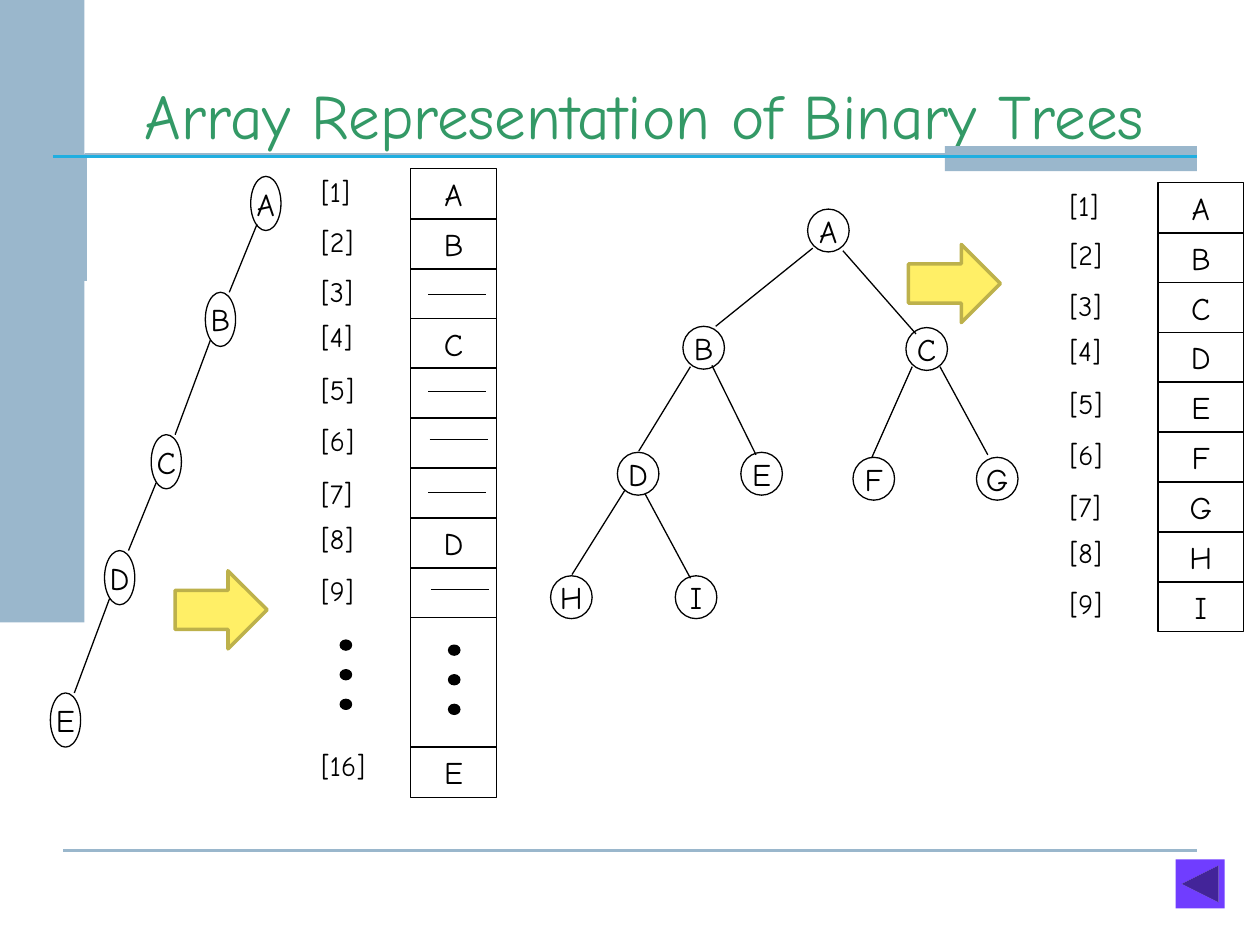
from typing import NamedTuple

from lxml import etree
from pptx import Presentation
from pptx.dml.color import RGBColor
from pptx.enum.shapes import MSO_CONNECTOR, MSO_SHAPE
from pptx.enum.text import MSO_ANCHOR, MSO_AUTO_SIZE, PP_ALIGN
from pptx.oxml.ns import qn
from pptx.util import Inches, Pt

RECTANGLE, OVAL = MSO_SHAPE.RECTANGLE, MSO_SHAPE.OVAL
ARROW, BACK_BUTTON = MSO_SHAPE.RIGHT_ARROW, MSO_SHAPE.ACTION_BUTTON_BACK_OR_PREVIOUS
STRAIGHT = MSO_CONNECTOR.STRAIGHT
CENTER = PP_ALIGN.CENTER
MIDDLE, BOTTOM = MSO_ANCHOR.MIDDLE, MSO_ANCHOR.BOTTOM
FIT_TEXT = MSO_AUTO_SIZE.SHAPE_TO_FIT_TEXT

FONT = "Comic Neue"
COLORS = {
    "ink": "000000",
    "title": "339966",
    "band": "9AB7CC",
    "rule": "20AEE0",
    "arrow": "FFEF66",
    "arrow edge": "BDB14B",
    "button": "703DFF",
}
CELL_WIDTH = 0.68
CELL_HEIGHT = 0.4
ROW_PITCH = 3.56 / 9
LABEL_OFFSETS = (0, 0.39, 0.79, 1.15, 1.57, 1.97, 2.39, 2.75, 3.16)


class Node(NamedTuple):
    letter: str
    left: float
    top: float


class Edge(NamedTuple):
    x1: float
    y1: float
    x2: float
    y2: float


class Tree(NamedTuple):
    node_width: float
    node_height: float
    nodes: list[Node]
    edges: list[Edge]


class Column(NamedTuple):
    label_left: float
    cell_left: float
    top: float
    values: str  # one character per cell, "-" for an unused cell


SKEWED_TREE = Tree(
    0.24, 0.43,
    [Node("A", 1.99, 1.4), Node("B", 1.63, 2.32), Node("C", 1.2, 3.45),
     Node("D", 0.83, 4.37), Node("E", 0.4, 5.5)],
    [Edge(2.04, 1.78, 1.82, 2.32), Edge(1.67, 2.7, 1.39, 3.45),
     Edge(1.24, 3.83, 1.02, 4.37), Edge(0.87, 4.75, 0.59, 5.5)],
)
COMPLETE_TREE = Tree(
    0.33, 0.34,
    [Node("A", 6.41, 1.66), Node("B", 5.42, 2.59), Node("C", 7.19, 2.6),
     Node("D", 4.9, 3.59), Node("E", 5.88, 3.59), Node("F", 6.77, 3.63),
     Node("G", 7.75, 3.63), Node("H", 4.37, 4.57), Node("I", 5.36, 4.57)],
    [Edge(6.45, 1.97, 5.68, 2.59), Edge(6.69, 1.99, 7.27, 2.65),
     Edge(5.48, 2.91, 5.07, 3.58), Edge(5.65, 2.9, 6, 3.61),
     Edge(7.24, 2.91, 6.92, 3.63), Edge(7.46, 2.91, 7.84, 3.61),
     Edge(4.96, 3.89, 4.54, 4.56), Edge(5.12, 3.92, 5.48, 4.59)],
)
SKEWED_ARRAY = Column(2.45, 3.26, 1.34, "AB-C---D-")
COMPLETE_ARRAY = Column(8.39, 9.19, 1.45, "ABCDEFGHI")
UNUSED_MARKS = [Edge(3.4, 2.34, 3.86, 2.34), Edge(3.4, 3.11, 3.86, 3.11),
                Edge(3.41, 3.49, 3.87, 3.49), Edge(3.4, 3.91, 3.86, 3.91),
                Edge(3.42, 4.68, 3.88, 4.68)]


def color(name: str) -> RGBColor:
    return RGBColor.from_string(COLORS[name])


def set_font(para, size: float, name: str = "ink") -> None:
    para.font.name = FONT
    para.font.size = Pt(size)
    para.font.color.rgb = color(name)


def paint(shape, fill: str | None, line: str | None, width: float) -> None:
    shape.shadow.inherit = False
    if fill:
        shape.fill.solid()
        shape.fill.fore_color.rgb = color(fill)
    else:
        shape.fill.background()
    if line:
        shape.line.color.rgb = color(line)
        shape.line.width = Pt(width)
    else:
        shape.line.fill.background()


def add_shape(slide, kind, left: float, top: float, width: float, height: float,
              fill: str | None = None, line: str | None = None,
              line_width: float = 0.75, text: str = "") -> None:
    shape = slide.shapes.add_shape(kind, Inches(left), Inches(top),
                                   Inches(width), Inches(height))
    paint(shape, fill, line, line_width)
    if text:
        frame = shape.text_frame
        frame.word_wrap = False
        frame.vertical_anchor = MIDDLE
        para = frame.paragraphs[0]
        para.text = text
        para.alignment = CENTER
        set_font(para, 18)


def add_line(slide, edge: Edge, line: str = "ink", width: float = 0.75) -> None:
    connector = slide.shapes.add_connector(STRAIGHT, *(Inches(value) for value in edge))
    connector.line.color.rgb = color(line)
    connector.line.width = Pt(width)
    etree.SubElement(connector.element.spPr, qn("a:effectLst"))


def add_label(slide, text: str, left: float, top: float, width: float = 0.5) -> None:
    box = slide.shapes.add_textbox(Inches(left), Inches(top), Inches(width), Inches(0.37))
    box.text_frame.word_wrap = True
    box.text_frame.auto_size = FIT_TEXT
    para = box.text_frame.paragraphs[0]
    para.text = text
    set_font(para, 16)


def add_cell(slide, left: float, top: float, text: str = "",
             height: float = CELL_HEIGHT) -> None:
    add_shape(slide, RECTANGLE, left, top, CELL_WIDTH, height, line="ink", text=text)


def add_column(slide, column: Column) -> None:
    for row, (value, offset) in enumerate(zip(column.values, LABEL_OFFSETS)):
        add_cell(slide, column.cell_left, column.top + row * ROW_PITCH, value.strip("-"))
        add_label(slide, f"[{row + 1}]", column.label_left, column.top + offset)


def add_dots(slide, left: float, top: float) -> None:
    for index in range(3):
        add_shape(slide, OVAL, left, top + index * 0.235, 0.09, 0.08, "ink", "ink")


def add_tree(slide, tree: Tree) -> None:
    for node in tree.nodes:
        add_shape(slide, OVAL, node.left, node.top, tree.node_width, tree.node_height,
                  line="ink", text=node.letter)
    for edge in tree.edges:
        add_line(slide, edge)


def add_backdrop(slide) -> None:
    builder = slide.shapes.build_freeform(Inches(0.68), Inches(2.23))
    builder.add_line_segments([(Inches(0.68), Inches(1.23)),
                               (Inches(9.35), Inches(1.23))], close=False)
    paint(builder.convert_to_shape(), None, "band", 2)
    add_line(slide, Edge(0.5, 6.75, 9.5, 6.75), "band", 1.5)
    add_shape(slide, RECTANGLE, 0, -0.39, 0.67, 5.33, "band")
    add_shape(slide, RECTANGLE, 7.5, 1.16, 2, 0.2, "band")
    add_line(slide, Edge(0.42, 1.24, 9.5, 1.24), "rule", 1.5)


def add_title(slide, text: str) -> None:
    title = slide.shapes.title
    title.left, title.top = Inches(0.75), Inches(0.49)
    title.width, title.height = Inches(8.73), Inches(0.77)
    title.text_frame.text = text
    title.text_frame.vertical_anchor = BOTTOM
    para = title.text_frame.paragraphs[0]
    para.alignment = CENTER
    set_font(para, 36, "title")


def main() -> None:
    deck = Presentation()
    deck.slide_width, deck.slide_height = Inches(10), Inches(7.5)
    slide = deck.slides.add_slide(deck.slide_layouts[5])
    add_backdrop(slide)
    add_title(slide, "Array Representation of Binary Trees")

    # Array of the skewed tree, with its gap between rows 9 and 16
    add_column(slide, SKEWED_ARRAY)
    add_cell(slide, SKEWED_ARRAY.cell_left, 4.9, height=1.03)
    add_cell(slide, SKEWED_ARRAY.cell_left, 5.93, "E")
    add_label(slide, "[16]", SKEWED_ARRAY.label_left, 5.89, 0.62)
    for mark in UNUSED_MARKS:
        add_line(slide, mark)
    add_dots(slide, 3.56, 5.12)
    add_dots(slide, 2.7, 5.08)

    # Array of the complete tree
    add_column(slide, COMPLETE_ARRAY)

    # Button, trees and arrows
    add_shape(slide, BACK_BUTTON, 9.33, 6.82, 0.39, 0.39, "button")
    for tree in (SKEWED_TREE, COMPLETE_TREE):
        add_tree(slide, tree)
    for left, top in ((1.39, 4.53), (7.21, 1.94)):
        add_shape(slide, ARROW, left, top, 0.73, 0.62, "arrow", "arrow edge", 2)

    deck.save("out.pptx")


if __name__ == "__main__":
    main()
